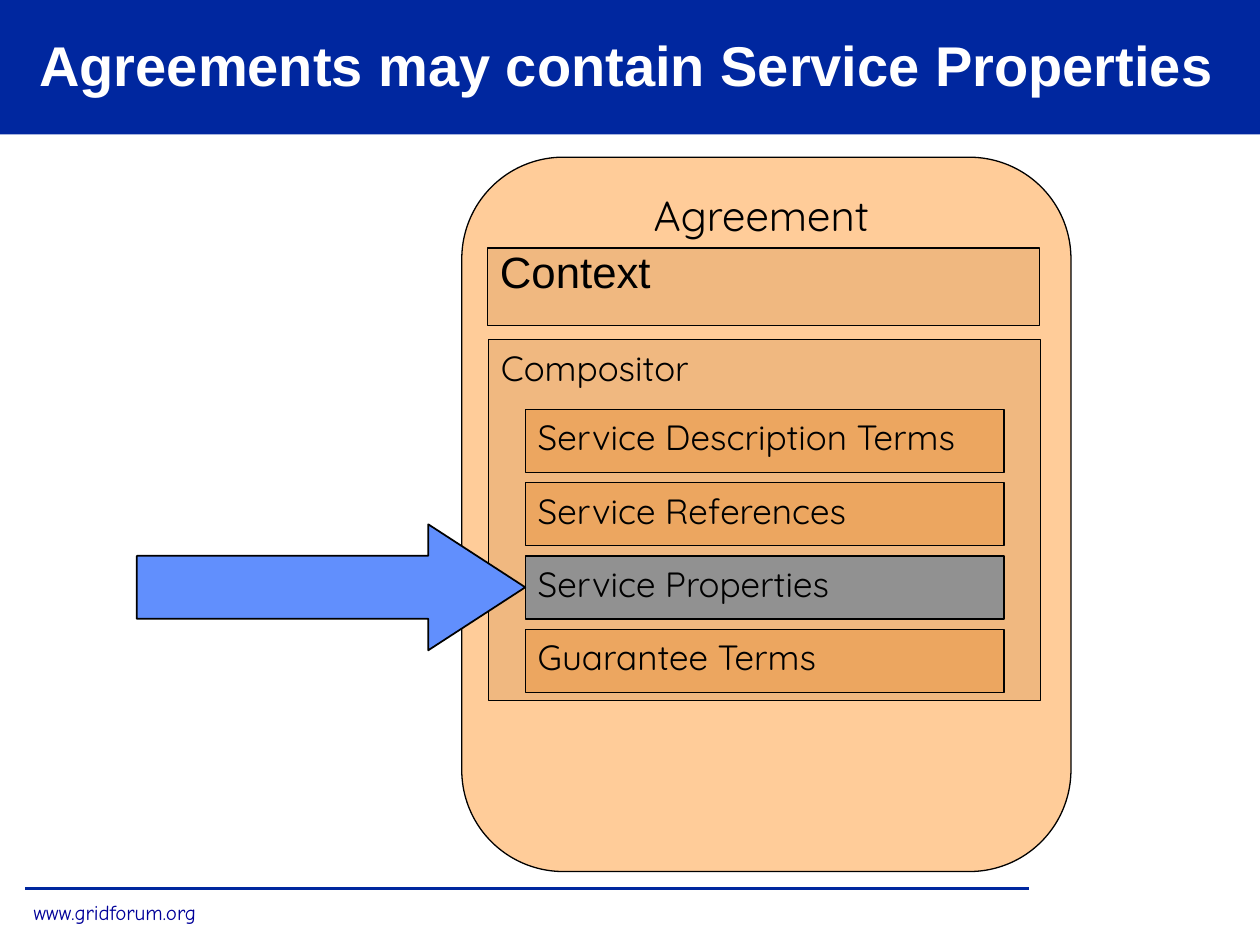
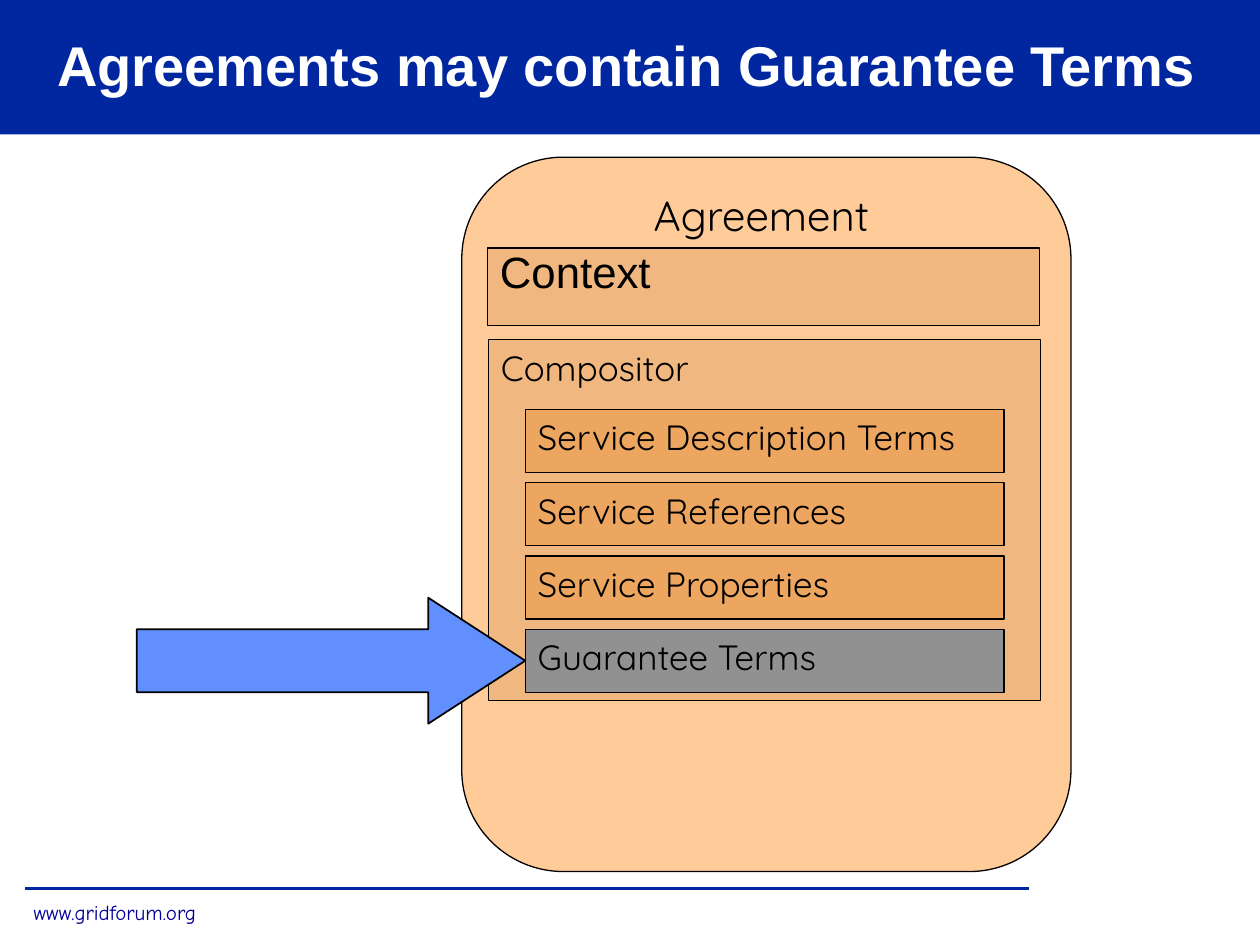
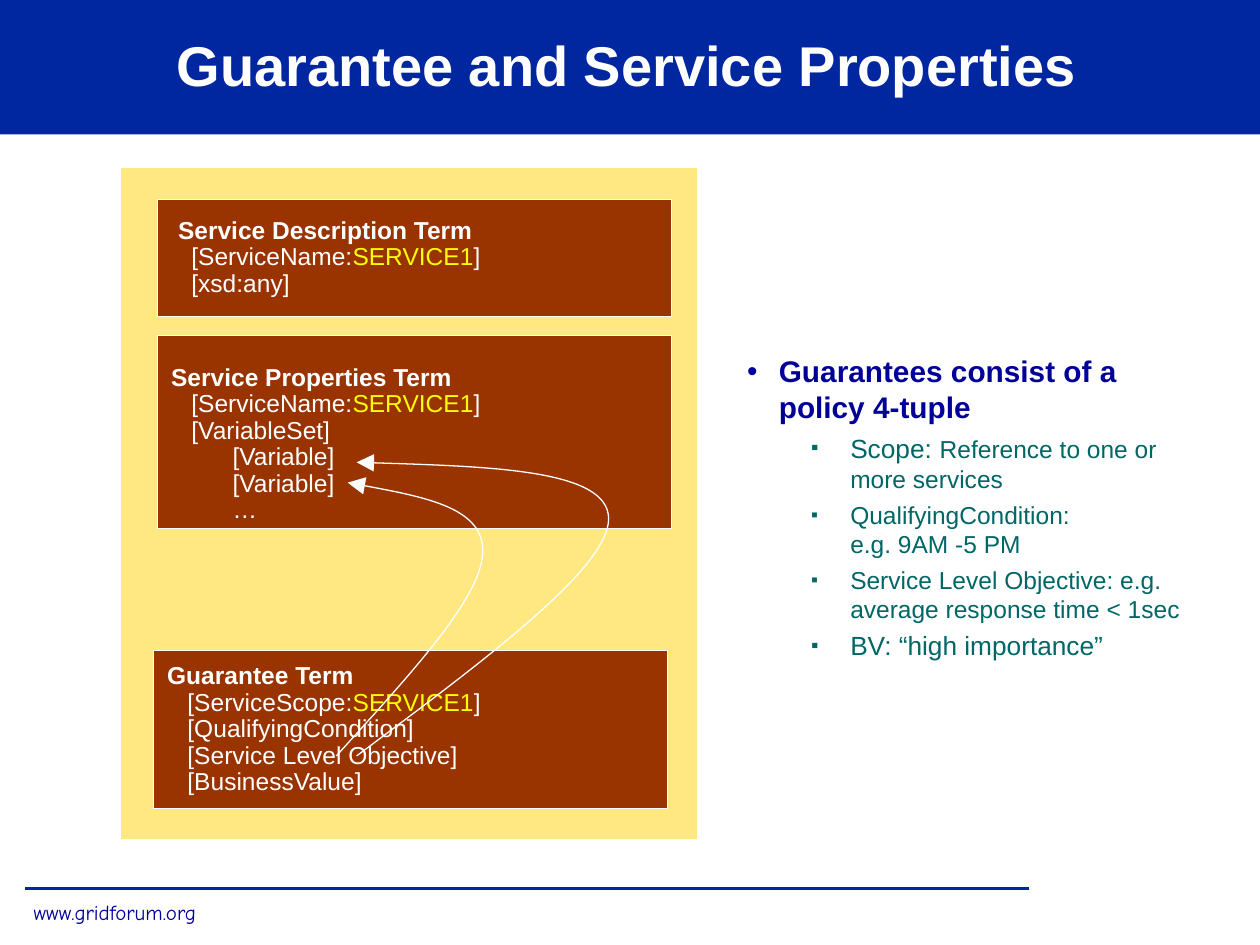
from lxml.etree import SubElement
from pptx import Presentation
from pptx.dml.color import RGBColor
from pptx.enum.shapes import MSO_CONNECTOR, MSO_SHAPE
from pptx.enum.text import MSO_ANCHOR, MSO_AUTO_SIZE, PP_ALIGN
from pptx.oxml.ns import qn
from pptx.util import Cm, Pt

NAVY, INK, TEAL = "00279F", "000099", "006666"
WHITE, BLACK, YELLOW = "FFFFFF", "000000", "FFFF00"
PEACH, TAN, AMBER, GREY = "FFCC99", "F0B880", "ECA660", "919191"
SKY, CREAM, BRICK = "618FFD", "FFE781", "993300"
ROUND, SANS, COMIC = "Quicksand", "Arial", "Comic Neue"
TERMS = ["Service Description Terms", "Service References",
         "Service Properties", "Guarantee Terms"]
NAME = [("[ServiceName:", WHITE), ("SERVICE1", YELLOW), ("]", WHITE)]
SCOPE = [("[ServiceScope:", WHITE)] + NAME[1:]


def color(code):
    return RGBColor.from_string(code)


def paint(shape, fill, line=None, width=0.75):
    shape.shadow.inherit = False
    if fill:
        shape.fill.solid()
        shape.fill.fore_color.rgb = color(fill)
    else:
        shape.fill.background()
    if line:
        shape.line.color.rgb = color(line)
        shape.line.width = Pt(width)
    else:
        shape.line.fill.background()


def block(slide, box, fill, line=None, kind=MSO_SHAPE.RECTANGLE, width=0.75):
    shape = slide.shapes.add_shape(kind, *map(Cm, box))
    paint(shape, fill, line, width)
    return shape


def inset(frame, left=0.25, top=0.13, right=0.25, bottom=0.13):
    frame.margin_left, frame.margin_top = Cm(left), Cm(top)
    frame.margin_right, frame.margin_bottom = Cm(right), Cm(bottom)


def write(para, text, size, font=SANS, ink=BLACK, bold=False):
    run = para.add_run()
    run.text = text
    run.font.size, run.font.name, run.font.bold = Pt(size), font, bold
    run.font.color.rgb = color(ink)


def label(shape, text, size, font=ROUND, align=PP_ALIGN.LEFT):
    frame = shape.text_frame
    frame.word_wrap = True
    frame.vertical_anchor = MSO_ANCHOR.TOP
    inset(frame)
    para = frame.paragraphs[0]
    para.alignment = align
    write(para, text, size, font)
    return frame


def indent(para, left, first=0):
    props = para._p.get_or_add_pPr()
    props.set("marL", str(Cm(left)))
    props.set("indent", str(Cm(first)))
    return props


def bullet(para, mark, ink, left, hang, scale):
    props = indent(para, left, -hang)
    tint = SubElement(props, qn("a:buClr"))
    SubElement(tint, qn("a:srgbClr"), val=ink)
    SubElement(props, qn("a:buSzPct"), val=str(scale * 1000))
    SubElement(props, qn("a:buFont"), typeface=SANS)
    SubElement(props, qn("a:buChar"), char=mark)


def master(deck, slide):
    band = block(slide, (0, 0, 25.4, 2.71), NAVY)
    rule = slide.shapes.add_connector(
        MSO_CONNECTOR.STRAIGHT, Cm(0.51), Cm(17.91), Cm(20.75), Cm(17.91))
    rule.line.color.rgb = color(NAVY)
    rule.line.width = Pt(2)
    SubElement(rule.element.spPr, qn("a:effectLst"))
    site = slide.shapes.add_textbox(Cm(0.43), Cm(18.01), Cm(3.78), Cm(0.76))
    frame = site.text_frame
    frame.word_wrap = False
    inset(frame)
    write(frame.paragraphs[0], "www.gridforum.org", 12, COMIC, INK)
    tree = deck.slide_master.shapes.element
    for rank, shape in enumerate((band, rule, site)):
        shape.element.xpath(".//p:cNvPr")[0].set("id", str(20 + rank))
        tree.insert(2 + rank, shape.element)


def place(shape, box):
    shape.left, shape.top, shape.width, shape.height = map(Cm, box)


def head(slide, text):
    title = slide.shapes.title
    place(title, (0, 0, 25.27, 2.59))
    title.fill.solid()
    title.fill.fore_color.rgb = color(NAVY)
    frame = title.text_frame
    frame.auto_size = MSO_AUTO_SIZE.NONE
    frame.vertical_anchor = MSO_ANCHOR.MIDDLE
    inset(frame)
    para = frame.paragraphs[0]
    para.alignment = PP_ALIGN.CENTER
    write(para, text, 32, ink=WHITE, bold=True)


def treaty(slide, box, focus):
    x, y, wide, high = box
    outer = block(slide, box, PEACH, BLACK, MSO_SHAPE.ROUNDED_RECTANGLE)
    inset(label(outer, "Agreement", 24, align=PP_ALIGN.CENTER), 0.05, 0.05)
    inner = wide - 1.16
    group = block(slide, (x + 0.54, y + 3.68, inner, 7.27), TAN, BLACK)
    label(group, "Compositor", 20)
    context = block(slide, (x + 0.52, y + 1.83, inner, 1.57), TAN, BLACK)
    label(context, "Context", 25, SANS).paragraphs[0].line_spacing = 0.8
    for rank, term in enumerate(TERMS):
        left, top = x + 1.28, y + 5.08 + 1.48 * rank
        fill = GREY if term == focus else AMBER
        label(block(slide, (left, top, 9.65, 1.27), fill, BLACK), term, 20)
        if term == focus:
            arrow = block(slide, (left - 7.83, top - 0.64, 7.83, 2.54),
                          SKY, BLACK, MSO_SHAPE.RIGHT_ARROW, 1)
            arrow.adjustments[0], arrow.adjustments[1] = 0.5, 0.77


def card(slide, box, lines, top=0.15):
    frame = block(slide, box, BRICK, WHITE).text_frame
    frame.word_wrap = True
    frame.vertical_anchor = MSO_ANCHOR.MIDDLE
    inset(frame, 0.28, top, 0.28, 0.15)
    for rank, (left, parts) in enumerate(lines):
        para = frame.add_paragraph() if rank else frame.paragraphs[0]
        indent(para, left)
        para.alignment = PP_ALIGN.LEFT
        para.line_spacing = 0.9
        if isinstance(parts, str):
            parts = [(parts, WHITE)]
        for text, ink in parts:
            write(para, text, 14, ink=ink, bold=rank == 0)


def curve(slide, x, y, points):
    spots = [(Cm(x + across), Cm(y + down)) for across, down in points]
    pen = slide.shapes.build_freeform(*spots[0])
    pen.add_line_segments(spots[1:], close=False)
    shape = pen.convert_to_shape()
    paint(shape, None, WHITE)
    trace = shape.element.find(".//" + qn("a:path"))
    for rank, step in enumerate(trace.findall(qn("a:lnTo"))):
        if rank % 3 == 0:
            bend = SubElement(trace, qn("a:cubicBezTo"))
        bend.append(step[0])
        trace.remove(step)
    edge = shape.element.find(".//" + qn("a:ln"))
    SubElement(edge, qn("a:tailEnd"), type="triangle", w="lg", len="lg")


def panel(slide, box):
    x, y = box[:2]
    block(slide, box, CREAM, WHITE)
    card(slide, (x + 0.74, y + 0.64, 10.37, 2.36), [
        (0.14, "Service Description Term"), (0.41, NAME), (0.41, "[xsd:any]")])
    card(slide, (x + 0.74, y + 3.39, 10.37, 3.88), [
        (0, "Service Properties Term"), (0.41, NAME), (0.41, "[VariableSet]"),
        (1.24, "[Variable]"), (1.24, "[Variable]"), (1.24, "…")], 0.65)
    card(slide, (x + 0.66, y + 9.74, 10.37, 3.18), [
        (0, "Guarantee Term"), (0.41, SCOPE), (0.41, "[QualifyingCondition]"),
        (0.41, "[Service Level Objective]"), (0.41, "[BusinessValue]")])
    curve(slide, x, y, [(4.35, 11.86), (5.8, 10.26), (7.27, 8.69), (7.3, 7.77),
                        (7.35, 6.86), (5.95, 6.6), (4.58, 6.35)])
    curve(slide, x, y, [(4.76, 11.86), (7.3, 9.96), (9.84, 8.08), (9.84, 7.08),
                        (9.84, 6.09), (7.3, 6.02), (4.76, 5.94)])


def points(slide, box):
    body = slide.placeholders[1]
    place(body, box)
    frame = body.text_frame
    frame.auto_size = MSO_AUTO_SIZE.NONE
    inset(frame)
    para = frame.paragraphs[0]
    bullet(para, "•", INK, 0.64, 0.64, 100)
    para.space_before = Pt(0)
    write(para, "Guarantees consist of a policy 4-tuple", 17, ink=INK, bold=True)
    for parts in (
            [("Scope:", 15), (" ", 16), ("Reference to one or more services", 14)],
            [("QualifyingCondition:", 14), None, ("e.g. 9AM -5 PM", 14)],
            [("Service Level Objective: e.g.", 14), None,
             ("average response time < 1sec", 14)],
            [("BV: “high importance”", 15)]):
        para = frame.add_paragraph()
        para.level = 1
        bullet(para, "▪", TEAL, 2.08, 0.79, 80)
        para.space_before = Pt(3.5)
        for part in parts:
            if part:
                write(para, *part, ink=TEAL)
            else:
                para.add_line_break()


def main():
    deck = Presentation()
    deck.slide_width, deck.slide_height = Cm(25.4), Cm(19.05)
    plain, listed = deck.slide_layouts[5], deck.slide_layouts[1]
    for text, focus in (
            ("Agreements may contain Service Properties", TERMS[2]),
            ("Agreements may contain Guarantee Terms", TERMS[3])):
        slide = deck.slides.add_slide(plain)
        head(slide, text)
        treaty(slide, (9.31, 3.17, 12.28, 14.4), focus)
    slide = deck.slides.add_slide(listed)
    master(deck, slide)
    head(slide, "Guarantee and Service Properties")
    panel(slide, (2.43, 3.38, 11.64, 13.55))
    points(slide, (14.81, 6.99, 9.27, 6.55))
    deck.save("out.pptx")


if __name__ == "__main__":
    main()
